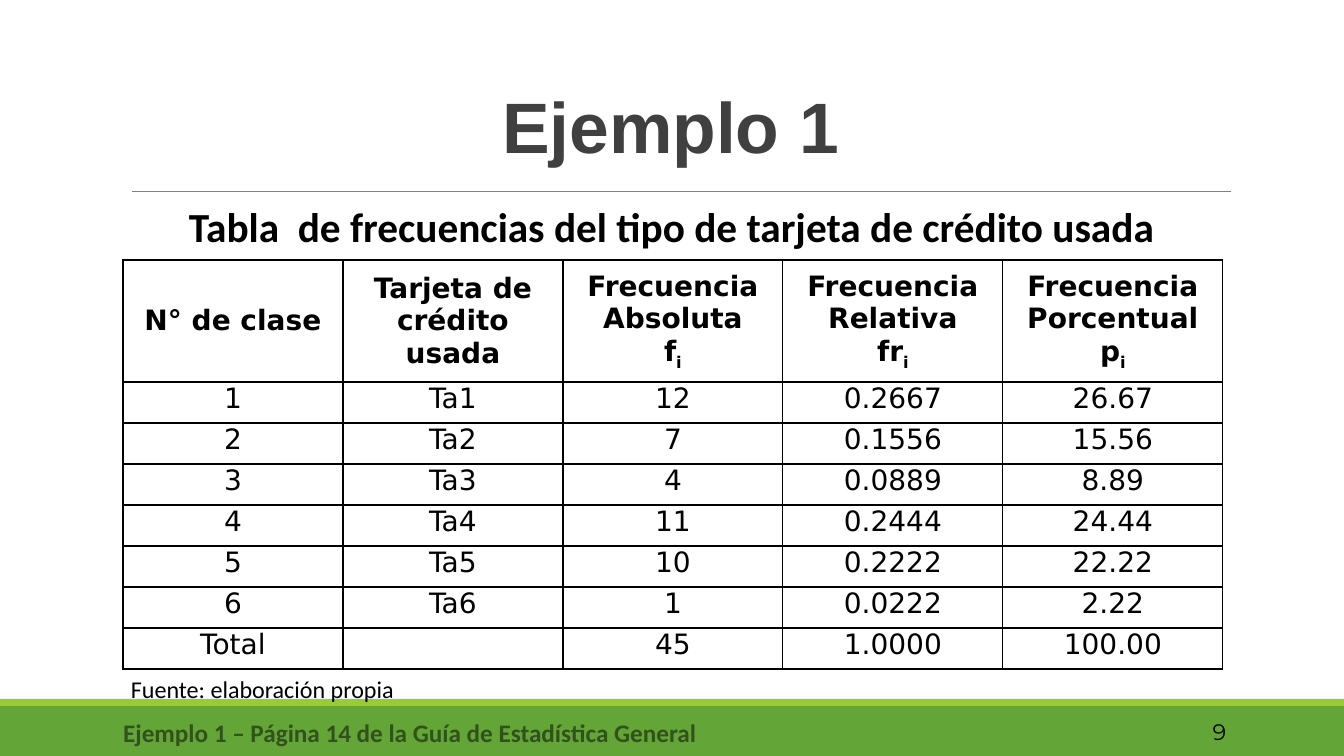
from lxml import etree
from pptx import Presentation
from pptx.dml.color import RGBColor
from pptx.enum.shapes import MSO_CONNECTOR, MSO_SHAPE
from pptx.enum.text import MSO_ANCHOR, MSO_AUTO_SIZE, PP_ALIGN
from pptx.oxml.ns import qn
from pptx.util import Pt

LEFT, MID, RIGHT = PP_ALIGN.LEFT, PP_ALIGN.CENTER, PP_ALIGN.RIGHT
TOP, CENTER = MSO_ANCHOR.TOP, MSO_ANCHOR.MIDDLE
RECT, LINE, FIXED = MSO_SHAPE.RECTANGLE, MSO_CONNECTOR.STRAIGHT, MSO_AUTO_SIZE.NONE

INK = {"black": "000000", "title": "404040", "rule": "808080",
       "band": "63A537", "edge": "99CB38", "foot": "31521C"}

TITLE = "Ejemplo 1"
HEADS = [
    [("N° de clase", "")],
    [("Tarjeta de crédito usada", "")],
    [("Frecuencia", ""), ("Absoluta", ""), ("f", "i")],
    [("Frecuencia", ""), ("Relativa", ""), ("fr", "i")],
    [("Frecuencia", ""), ("Porcentual", ""), ("p", "i")],
]
ROWS = [
    ("1", "Ta1", "12", "0.2667", "26.67"),
    ("2", "Ta2", "7", "0.1556", "15.56"),
    ("3", "Ta3", "4", "0.0889", "8.89"),
    ("4", "Ta4", "11", "0.2444", "24.44"),
    ("5", "Ta5", "10", "0.2222", "22.22"),
    ("6", "Ta6", "1", "0.0222", "2.22"),
    ("Total", "", "45", "1.0000", "100.00"),
]
BANDS = [((0, 706, 1344, 50), "band"), ((0, 699, 1344, 7), "edge")]
RULE = (132, 191, 1231, 191)
TITLE_BOX = (142, 87, 1022, 90)
GRID = {"left": 123, "top": 260, "col": 220, "head": 122, "row": 41}
NOTES = [
    ("Tabla  de frecuencias del tipo de tarjeta de crédito usada",
     (91, 196, 1162, 60), MID, TOP, True,
     {"size": 29.5, "name": "Calibri", "bold": True, "color": "black"}),
    ("Fuente: elaboración propia", (121, 669, 286, 39), LEFT, TOP, False,
     {"size": 17.2, "name": "Calibri", "bold": False, "color": "black"}),
    ("Ejemplo 1 – Página 14 de la Guía de Estadística General",
     (108, 712, 604, 40), MID, CENTER, True,
     {"size": 18, "name": "Calibri", "bold": True, "color": "foot"}),
    ("9", (1092, 712, 144, 40), RIGHT, CENTER, True,
     {"size": 16, "name": "Montserrat", "bold": False, "color": "black"}),
]
TITLE_FONT = {"size": 51, "name": "Arial", "bold": True, "color": "title"}
CELL_FONT = {"size": 20, "name": "DejaVu Sans", "color": "black"}


def px(n):
    return round(n * 914400 / 100.8)


def rgb(key):
    return RGBColor.from_string(INK[key])


def style(font, form):
    for key, val in form.items():
        if key == "color":
            font.color.rgb = rgb(val)
        else:
            setattr(font, key, Pt(val) if key == "size" else val)


def write(para, text, form, align):
    para.alignment = align
    run = para.add_run()
    run.text = text
    style(run.font, form)
    return run


def inset(frame, side, end):
    sizes = {"margin_left": side, "margin_right": side,
             "margin_top": end, "margin_bottom": end}
    for key, val in sizes.items():
        setattr(frame, key, px(val))


def add_bands(slide):
    for box, key in BANDS:
        band = slide.shapes.add_shape(RECT, *map(px, box))
        band.shadow.inherit = False
        band.fill.solid()
        band.fill.fore_color.rgb = rgb(key)
        band.line.fill.background()
    rule = slide.shapes.add_connector(LINE, *map(px, RULE))
    rule.line.color.rgb = rgb("rule")
    rule.line.width = Pt(0.5)
    etree.SubElement(rule._element.spPr, qn("a:effectLst"))


def set_title(slide):
    title = slide.shapes.title
    for key, val in zip(("left", "top", "width", "height"), TITLE_BOX):
        setattr(title, key, px(val))
    frame = title.text_frame
    frame.auto_size = FIXED
    frame.vertical_anchor = TOP
    inset(frame, 0, 5)
    para = frame.paragraphs[0]
    write(para, TITLE, TITLE_FONT, MID)
    gaps = {"line_spacing": 0.9, "space_before": Pt(12), "space_after": Pt(2)}
    for key, val in gaps.items():
        setattr(para, key, val)
    props = para._p.get_or_add_pPr()
    props.set("marL", str(px(10)))
    props.set("indent", str(-px(10)))
    tint = etree.SubElement(props, qn("a:buClr"))
    etree.SubElement(tint, qn("a:srgbClr"), val=INK["edge"])
    etree.SubElement(props, qn("a:buChar"), char=" ")


def add_edges(cell):
    props = cell._tc.get_or_add_tcPr()
    for spot, side in enumerate(("lnL", "lnR", "lnT", "lnB")):
        edge = etree.Element(qn("a:" + side), w=str(Pt(1)))
        fill = etree.SubElement(edge, qn("a:solidFill"))
        etree.SubElement(fill, qn("a:srgbClr"), val=INK["black"])
        props.insert(spot, edge)


def fill_cell(cell, lines, head):
    cell.fill.background()
    inset(cell, 6, 0)
    cell.vertical_anchor = CENTER if head else TOP
    frame = cell.text_frame
    form = {**CELL_FONT, "bold": head}
    for spot, (text, sub) in enumerate(lines):
        para = frame.add_paragraph() if spot else frame.paragraphs[0]
        if text:
            write(para, text, form, MID)
        if sub:
            low = write(para, sub, form, MID)
            low._r.get_or_add_rPr().set("baseline", "-25000")
    add_edges(cell)


def add_grid(slide):
    body = [[[(text, "")] for text in row] for row in ROWS]
    data = [HEADS] + body
    wide = GRID["col"] * len(HEADS)
    tall = GRID["head"] + GRID["row"] * len(ROWS)
    box = (GRID["left"], GRID["top"], wide, tall)
    table = slide.shapes.add_table(len(data), len(HEADS), *map(px, box)).table
    table.first_row = table.horz_banding = False
    for col in table.columns:
        col.width = px(GRID["col"])
    for r, row in enumerate(data):
        table.rows[r].height = px(GRID["row"] if r else GRID["head"])
        for c, lines in enumerate(row):
            fill_cell(table.cell(r, c), lines, r == 0)


def add_notes(slide):
    for text, box, align, anchor, wrap, form in NOTES:
        frame = slide.shapes.add_textbox(*map(px, box)).text_frame
        frame.word_wrap = wrap
        frame.vertical_anchor = anchor
        write(frame.paragraphs[0], text, form, align)


def main():
    deck = Presentation()
    deck.slide_width, deck.slide_height = px(1344), px(756)
    slide = deck.slides.add_slide(deck.slide_layouts[5])
    add_bands(slide)
    set_title(slide)
    add_grid(slide)
    add_notes(slide)
    deck.save("out.pptx")


if __name__ == "__main__":
    main()
